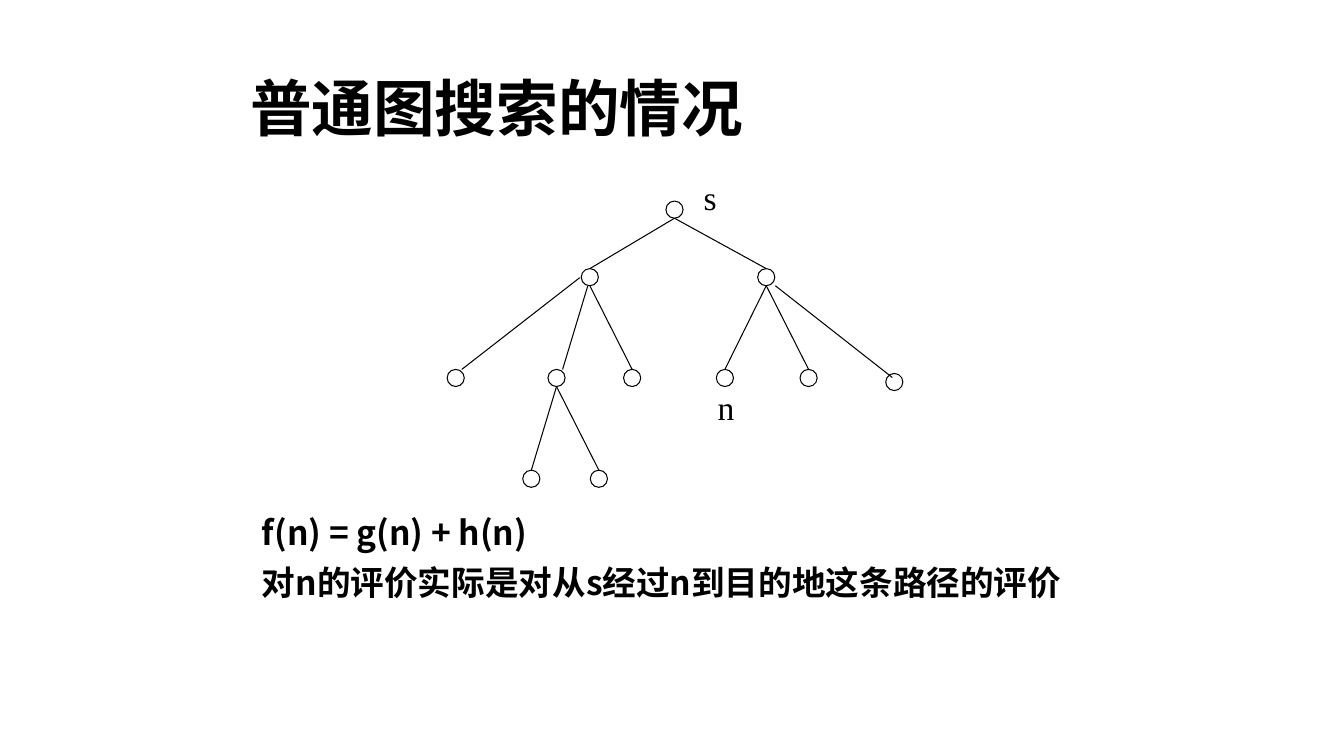
from dataclasses import dataclass
from pptx import Presentation
from pptx.dml.color import RGBColor
from pptx.enum.shapes import MSO_CONNECTOR, MSO_SHAPE
from pptx.enum.text import MSO_ANCHOR, PP_ALIGN
from pptx.util import Inches, Pt
from lxml.etree import SubElement
from pptx.oxml.ns import qn


@dataclass(frozen=True)
class Theme:
    ink = RGBColor(0, 0, 0)
    paper = RGBColor(255, 255, 255)
    sans = "Noto Sans CJK SC"
    serif = "Times New Roman"
    head = 44
    text = 24
    line = 0.75
    node = 0.17


THEME = Theme()

NODES = {
    "root": (2.25, 0.08, True),
    "left": (1.41, 0.75, True),
    "right": (3.16, 0.75, True),
    "l1": (0.08, 1.75, False),
    "l2": (1.08, 1.75, True),
    "l3": (1.83, 1.75, False),
    "r1": (2.75, 1.75, False),
    "r2": (3.58, 1.75, False),
    "r3": (4.43, 1.79, False),
    "m1": (0.83, 2.75, False),
    "m2": (1.5, 2.75, False),
}
EDGES = {
    "root": ("left", "right"),
    "left": ("l1", "l2", "l3"),
    "right": ("r1", "r2", "r3"),
    "l2": ("m1", "m2"),
}
SHIFTS = {
    "l1": (-0.1, -0.08, 0.06, 0),
    "l2": (-0.02, 0, 0.06, 0),
    "r3": (0.09, 0, -0.02, 0.04),
}


def write(frame, text, font=THEME.sans, size=THEME.text, bold=False,
          space=0, lead=1.0, indent=0, anchor=MSO_ANCHOR.TOP):
    frame.word_wrap = True
    frame.vertical_anchor = anchor
    frame.text = text
    for para in frame.paragraphs:
        para.alignment = PP_ALIGN.LEFT
        para.space_before = Pt(space)
        para.line_spacing = lead
        para._p.get_or_add_pPr().set("marL", str(Inches(indent)))
        for run in para.runs:
            run.font.name = font
            run.font.size = Pt(size)
            run.font.bold = bold
            run.font.color.rgb = THEME.ink
            SubElement(run._r.get_or_add_rPr(), qn("a:ea"), typeface=font)


def add_box(slide, box, text, **style):
    shape = slide.shapes.add_textbox(*map(Inches, box))
    write(shape.text_frame, text, **style)


def add_title(slide, box, text):
    title = slide.shapes.title
    title.left, title.top, title.width, title.height = map(Inches, box)
    write(title.text_frame, text, size=THEME.head, bold=True, lead=0.9,
          anchor=MSO_ANCHOR.MIDDLE)


def add_node(slide, x, y, filled):
    half = THEME.node / 2
    node = slide.shapes.add_shape(
        MSO_SHAPE.OVAL, Inches(x - half), Inches(y - half),
        Inches(THEME.node), Inches(THEME.node))
    node.shadow.inherit = False
    if filled:
        node.fill.solid()
        node.fill.fore_color.rgb = THEME.paper
    else:
        node.fill.background()
    node.line.color.rgb = THEME.ink
    node.line.width = Pt(THEME.line)


def add_edge(slide, *ends):
    edge = slide.shapes.add_connector(
        MSO_CONNECTOR.STRAIGHT, *map(Inches, ends))
    edge.line.color.rgb = THEME.ink
    edge.line.width = Pt(THEME.line)
    SubElement(edge._element.spPr, qn("a:effectLst"))


def add_tree(slide, left, top):
    half = THEME.node / 2
    for x, y, filled in NODES.values():
        add_node(slide, left + x, top + y, filled)
    for start, kids in EDGES.items():
        px, py, _ = NODES[start]
        for kid in kids:
            kx, ky, _ = NODES[kid]
            ax, ay, bx, by = SHIFTS.get(kid, (0, 0, 0, 0))
            add_edge(slide, left + px + ax, top + py + half + ay,
                     left + kx + bx, top + ky - half + by)
    for text, x, y in (("n", 2.58, 1.79), ("s", 2.44, -0.29)):
        add_box(slide, (left + x, top + y, 0.38, 0.5), text,
                font=THEME.serif)


def main():
    deck = Presentation()
    deck.slide_width, deck.slide_height = Inches(13.33), Inches(7.5)
    slide = deck.slides.add_slide(deck.slide_layouts[5])
    add_title(slide, (2.38, 0.48, 8.5, 1.25), "普通图搜索的情况")
    add_box(slide, (2.25, 5.07, 8.92, 1.44),
            "f(n) = g(n) + h(n)\n对n的评价实际是对从s经过n到目的地这条路径的评价",
            bold=True, space=10, lead=0.9, indent=0.25)
    add_tree(slide, 4.44, 2)
    deck.save("out.pptx")


if __name__ == "__main__":
    main()
